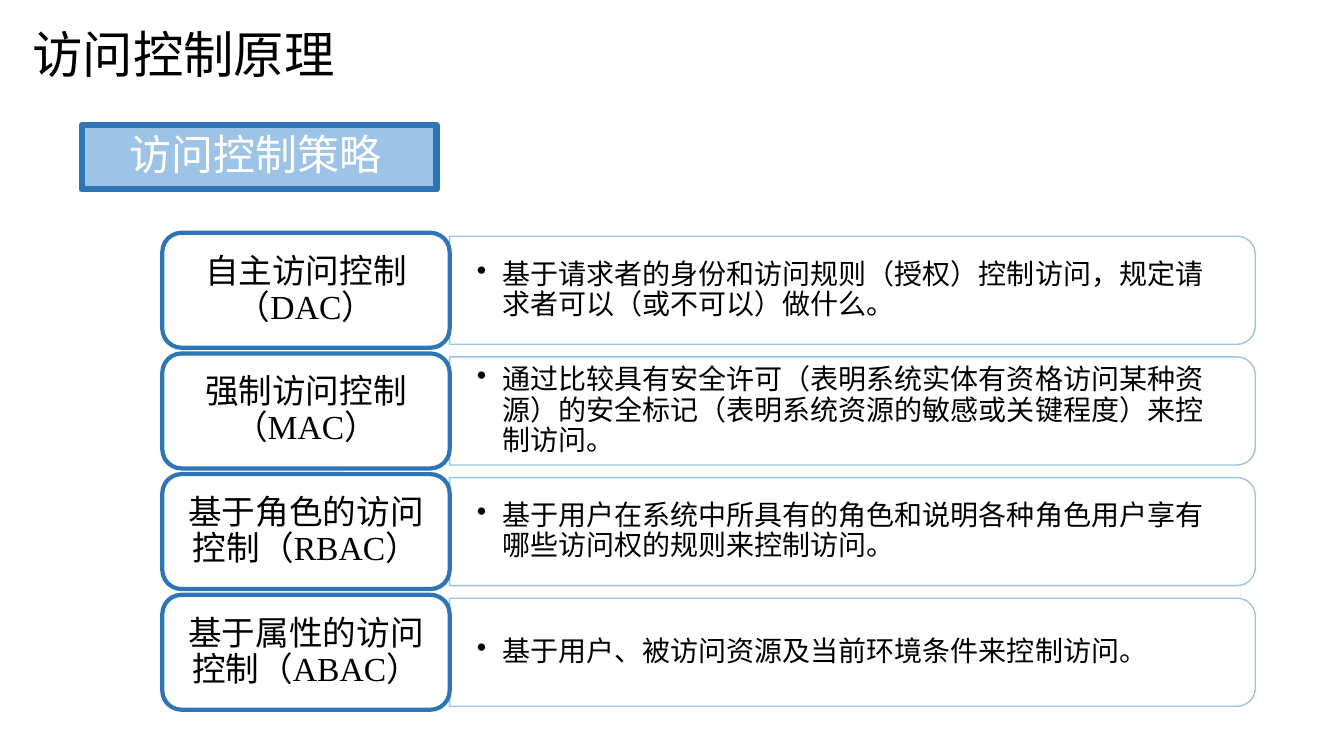
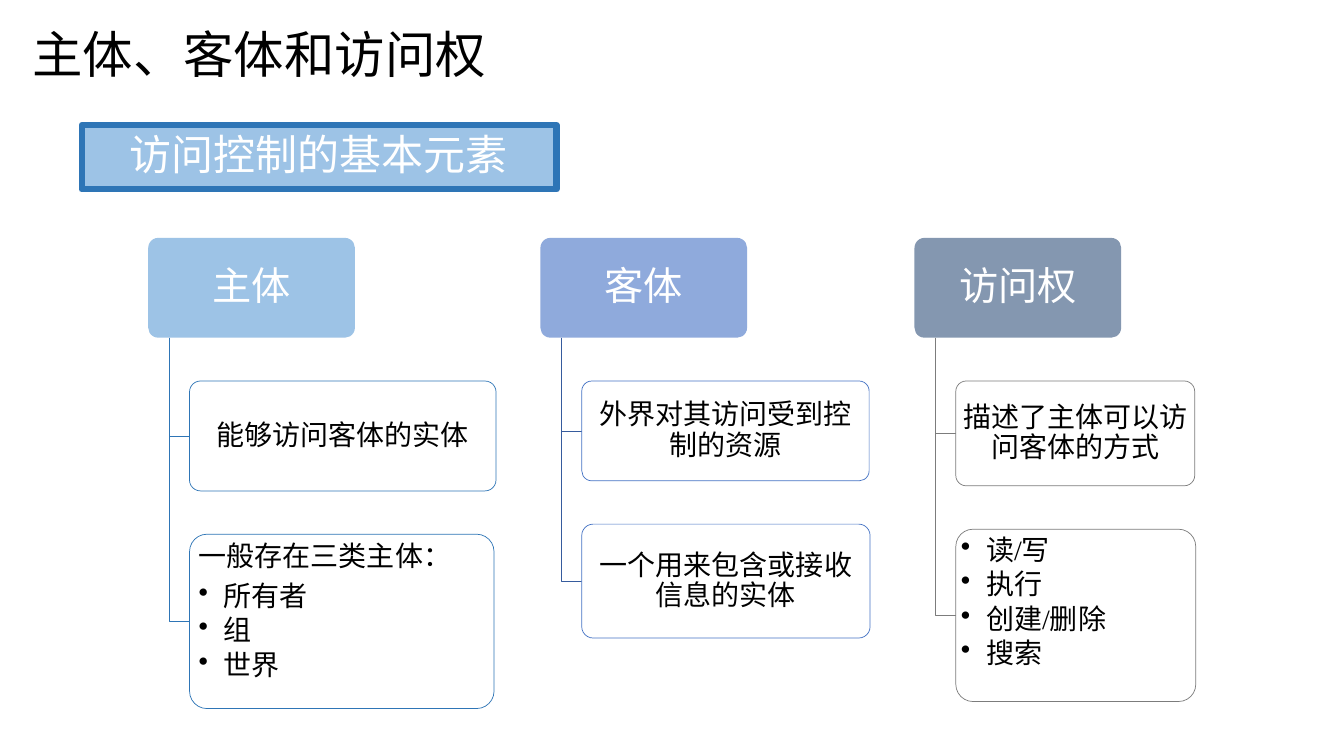
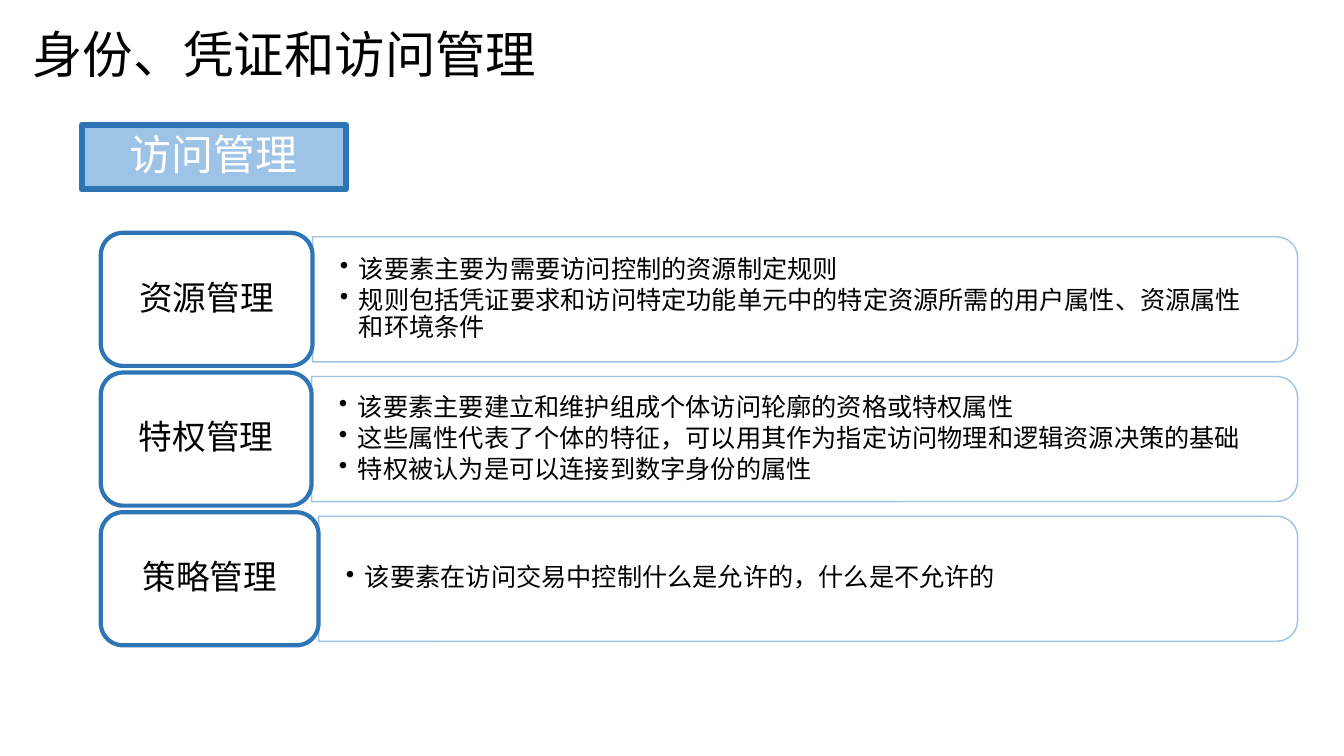
from lxml.etree import SubElement
from pptx import Presentation
from pptx.dml.color import RGBColor
from pptx.enum.shapes import MSO_SHAPE
from pptx.enum.text import MSO_ANCHOR, MSO_AUTO_SIZE, PP_ALIGN
from pptx.oxml.ns import qn
from pptx.util import Inches, Pt

CHINESE, SERIF = "Noto Sans CJK SC", "Times New Roman"
BLACK, WHITE = "000000", "FFFFFF"
BLUE, LIGHT_BLUE = "2E75B6", "9DC3E6"
TOP = 2.31  # top of the row diagrams


def color(value):
    return RGBColor.from_string(value)


# ---- Text and shape helpers ----

def write(para, text, size=20, font=SERIF, ink=BLACK, align=PP_ALIGN.LEFT,
          spacing=0.9, after=0.35, indent=0):
    """Fill a paragraph; an indent makes it a bullet, after is a share of size."""
    if indent:
        properties = para._p.get_or_add_pPr()
        properties.set("marL", str(Inches(indent)))
        properties.set("indent", str(-Inches(indent)))
        SubElement(properties, qn("a:buChar")).set("char", "•")
    para.alignment = align
    para.line_spacing = spacing
    para.space_before = Pt(0)
    para.space_after = Pt(round(size * after, 1))
    span = para.add_run()
    span.text = text
    span.font.size = Pt(size)
    span.font.name = font
    span.font.color.rgb = color(ink)
    SubElement(span._r.get_or_add_rPr(), qn("a:ea")).set("typeface", CHINESE)


def set_frame(box, insets=(0.1, 0.05, 0.1, 0.05), anchor=MSO_ANCHOR.MIDDLE):
    frame = box.text_frame
    frame.word_wrap = True
    frame.auto_size = MSO_AUTO_SIZE.NONE
    frame.vertical_anchor = anchor
    (frame.margin_left, frame.margin_top,
     frame.margin_right, frame.margin_bottom) = map(Inches, insets)
    return frame


def write_bullets(frame, items, size, indent, first=True):
    for item in items:
        para = frame.paragraphs[0] if first else frame.add_paragraph()
        write(para, item, size=size, after=0.15, indent=indent)
        first = False


def paint(shape, fill=None, line=None, weight=1):
    shape.shadow.inherit = False
    if fill:
        shape.fill.solid()
        shape.fill.fore_color.rgb = color(fill)
    else:
        shape.fill.background()
    if line:
        shape.line.color.rgb = color(line)
        shape.line.width = Pt(weight)
    else:
        shape.line.fill.background()


def add_box(page, kind, left, top, width, height, **style):
    box = page.shapes.add_shape(kind, *map(Inches, (left, top, width, height)))
    paint(box, **style)
    return box


# ---- Parts shared by every slide ----

def add_page(deck, title, banner, banner_width):
    page = deck.slides.add_slide(deck.slide_layouts[5])
    heading = page.shapes.title
    heading.left, heading.top = Inches(0.21), Inches(0)
    heading.width, heading.height = Inches(7.43), Inches(1.06)
    frame = set_frame(heading, (0.11, 0.06, 0.11, 0.06))
    write(frame.paragraphs[0], title, size=36, font=CHINESE, spacing=1.0, after=0)

    box = add_box(page, MSO_SHAPE.RECTANGLE, 0.81, 1.24, banner_width, 0.64,
                  fill=LIGHT_BLUE, line=BLUE, weight=4.33)
    frame = set_frame(box, (0.47, 0, 0.3, 0))
    write(frame.paragraphs[0], banner, size=30, font=CHINESE, ink=WHITE)
    return page


# ---- Rows: a label with a panel of bullets to its right ----

def add_row(page, left, top, right, height, label_width, label, items, size, indent):
    panel_left, panel_height = left + label_width, height * 0.94
    panel_width = right - panel_left
    panel_top = top + (height - panel_height) / 2

    # The panel is an upright tab turned by a quarter about its centre
    shift = (panel_width - panel_height) / 2
    panel = add_box(page, MSO_SHAPE.ROUND_2_SAME_RECTANGLE, panel_left + shift,
                    panel_top - shift, panel_height, panel_width,
                    fill=WHITE, line=LIGHT_BLUE)
    panel.rotation = 90
    body = page.shapes.add_textbox(*map(Inches, (
        panel_left, panel_top, panel_width - 0.06, panel_height)))
    frame = set_frame(body, (0.27, 0.14, 0.27, 0.14))
    write_bullets(frame, items, size, indent)

    box = add_box(page, MSO_SHAPE.ROUNDED_RECTANGLE, left, top, label_width, height,
                  line=BLUE, weight=3)
    write(set_frame(box).paragraphs[0], label, size=24, align=PP_ALIGN.CENTER)


def add_rows(page, left, right, height, rows, size, indent):
    for index, (label_width, label, items) in enumerate(rows):
        add_row(page, left, TOP + index * height * 1.05, right, height,
                label_width, label, items, size, indent)


# ---- Columns: a header with cards hanging from its stem ----

def add_card(page, left, top, width, height, line, text, items, insets):
    card = add_box(page, MSO_SHAPE.ROUNDED_RECTANGLE, left, top, width, height,
                   fill=WHITE, line=line, weight=0.5)
    card.adjustments[0] = 0.1
    frame = set_frame(card, insets, MSO_ANCHOR.TOP if items else MSO_ANCHOR.MIDDLE)
    if text:
        align = PP_ALIGN.LEFT if items else PP_ALIGN.CENTER
        write(frame.paragraphs[0], text, align=align)
    write_bullets(frame, items, 20, 0.25, first=not text)


def add_branch(page, left, top, right, bottom, line):
    start, *corners = [(Inches(x), Inches(y)) for x, y in
                       ((left, top), (left, bottom), (right, bottom))]
    builder = page.shapes.build_freeform(*start)
    builder.add_line_segments(corners, close=False)
    paint(builder.convert_to_shape(), line=line, weight=0.5)


def add_column(page, left, top, header, fill, branch, line, cards):
    width, height, gap = 2.05, 0.99, 0.43
    box = add_box(page, MSO_SHAPE.ROUNDED_RECTANGLE, left, top, width, height, fill=fill)
    box.adjustments[0] = 0.1
    frame = set_frame(box, (0.06, 0.04, 0.06, 0.04))
    write(frame.paragraphs[0], header, size=28, font=CHINESE, ink=WHITE,
          align=PP_ALIGN.CENTER)

    stem, card_left = left + width * 0.1, left + width * 0.2
    header_bottom = top + height
    card_top = header_bottom + gap
    for card_width, card_height, text, items, insets in cards:
        add_branch(page, stem, header_bottom, card_left, card_top + card_height / 2, branch)
        add_card(page, card_left, card_top, card_width, card_height, line,
                 text, items, insets)
        card_top += card_height + gap


# ---- Slides ----

def add_policies(deck):
    page = add_page(deck, "访问控制原理", "访问控制策略", 3.52)
    policies = [
        ("自主访问控制（DAC）",
         "基于请求者的身份和访问规则（授权）控制访问，规定请求者可以（或不可以）做什么。"),
        ("强制访问控制（MAC）",
         "通过比较具有安全许可（表明系统实体有资格访问某种资源）的安全标记"
         "（表明系统资源的敏感或关键程度）来控制访问。"),
        ("基于角色的访问控制（RBAC）",
         "基于用户在系统中所具有的角色和说明各种角色用户享有哪些访问权的规则来控制访问。"),
        ("基于属性的访问控制（ABAC）",
         "基于用户、被访问资源及当前环境条件来控制访问。"),
    ]
    rows = [(2.85, label, [text]) for label, text in policies]
    add_rows(page, 1.61, 12.45, 1.14, rows, size=20, indent=0.25)


def add_elements(deck):
    page = add_page(deck, "主体、客体和访问权", "访问控制的基本元素", 4.71)
    snug, flush = (0.04, 0.03, 0.04, 0.03), (0, 0.02, 0, 0)
    columns = [
        (1.47, "主体", LIGHT_BLUE, BLUE, BLUE, [
            (3.04, 1.09, "能够访问客体的实体", [], snug),
            (3.02, 1.73, "一般存在三类主体：", ["所有者", "组", "世界"], snug)]),
        (5.36, "客体", "8FAADC", "365B9D", "4472C4", [
            (2.85, 0.99, "外界对其访问受到控制的资源", [], snug),
            (2.86, 1.13, "一个用来包含或接收信息的实体", [], snug)]),
        (9.07, "访问权", "8497B0", "7C7C7C", "7C7C7C", [
            (2.37, 1.04, "描述了主体可以访问客体的方式", [], snug),
            (2.38, 1.71, "", ["读/写", "执行", "创建/删除", "搜索"], flush)]),
    ]
    for left, *parts in columns:
        add_column(page, left, 2.36, *parts)


def add_management(deck):
    page = add_page(deck, "身份、凭证和访问管理", "访问管理", 2.62)
    rows = [
        (2.1, "资源管理", [
            "该要素主要为需要访问控制的资源制定规则",
            "规则包括凭证要求和访问特定功能单元中的特定资源所需的用户属性、资源属性和环境条件"]),
        (2.09, "特权管理", [
            "该要素主要建立和维护组成个体访问轮廓的资格或特权属性",
            "这些属性代表了个体的特征，可以用其作为指定访问物理和逻辑资源决策的基础",
            "特权被认为是可以连接到数字身份的属性"]),
        (2.16, "策略管理", ["该要素在访问交易中控制什么是允许的，什么是不允许的"]),
    ]
    add_rows(page, 1, 12.87, 1.32, rows, size=18, indent=0.19)


def main():
    deck = Presentation()
    deck.slide_width, deck.slide_height = Inches(13.33), Inches(7.5)
    add_policies(deck)
    add_elements(deck)
    add_management(deck)
    deck.save("out.pptx")


if __name__ == "__main__":
    main()
